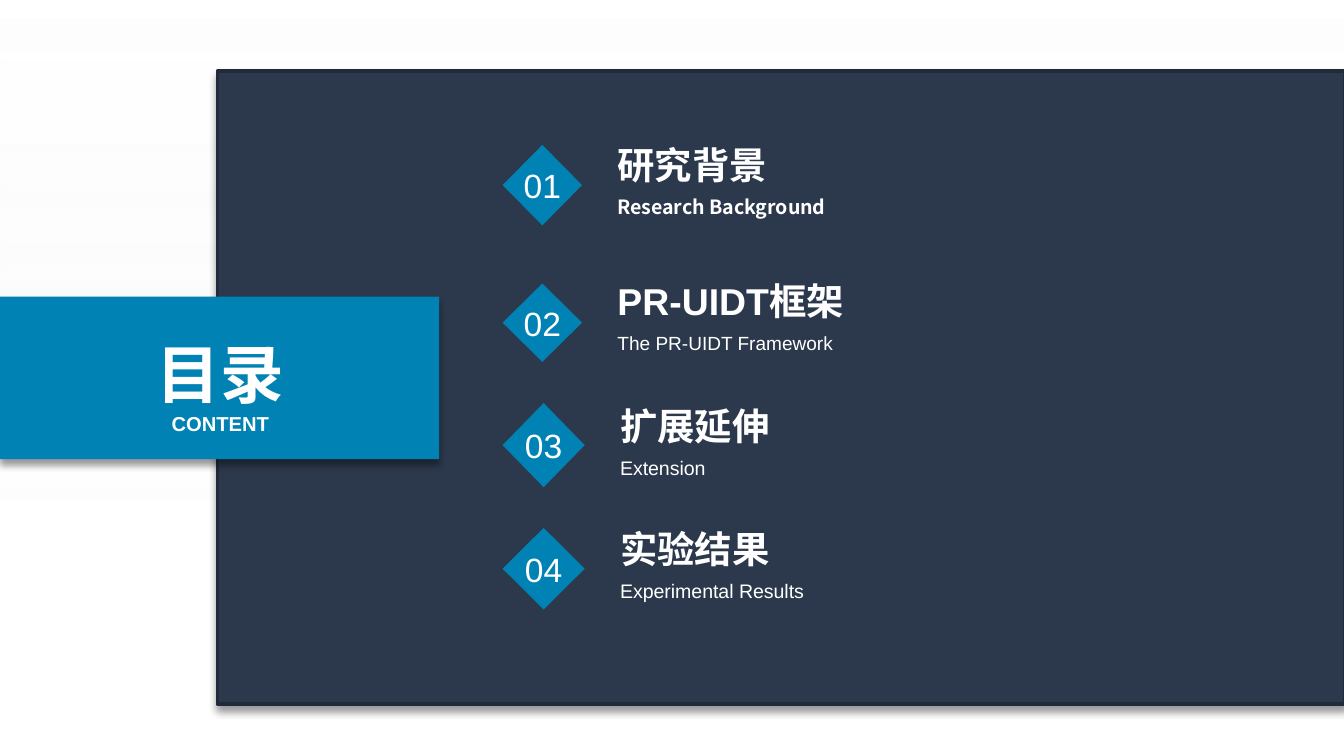
from dataclasses import dataclass

from lxml import etree
from pptx import Presentation
from pptx.dml.color import RGBColor
from pptx.enum.shapes import MSO_SHAPE
from pptx.enum.text import MSO_ANCHOR, PP_ALIGN
from pptx.oxml import parse_xml
from pptx.oxml.ns import qn
from pptx.util import Cm, Pt

RECT, DIAMOND = MSO_SHAPE.RECTANGLE, MSO_SHAPE.DIAMOND
TOP, MIDDLE, BOTTOM = MSO_ANCHOR.TOP, MSO_ANCHOR.MIDDLE, MSO_ANCHOR.BOTTOM
LEFT, CENTER = PP_ALIGN.LEFT, PP_ALIGN.CENTER
DRAWING_NS = "http://schemas.openxmlformats.org/drawingml/2006/main"


@dataclass(frozen=True)
class Theme:
    navy: str = "2C394C"
    navy_edge: str = "212A38"
    blue: str = "0083B4"
    white: str = "FFFFFF"
    latin: str = "Arial"
    chinese: str = "Noto Sans CJK SC"
    heading: float = 34.1
    subheading: float = 10.8
    title: float = 20
    number: float = 18
    caption: float = 10.5
    small_caption: float = 10.2


theme = Theme()


def add_block(parent, kind, box, color, shadow=False):
    block = parent.shapes.add_shape(kind, *map(Cm, box))
    block.shadow.inherit = False
    block.fill.solid()
    block.fill.fore_color.rgb = RGBColor.from_string(color)
    block.line.fill.background()
    if shadow:
        effects = block._element.spPr.find(qn("a:effectLst"))
        effects.append(parse_xml(
            f'<a:outerShdw xmlns:a="{DRAWING_NS}" blurRad="{Pt(4)}" dist="{Pt(3)}" '
            'dir="5400000" algn="t" rotWithShape="0"><a:srgbClr val="000000">'
            '<a:alpha val="40000"/></a:srgbClr></a:outerShdw>'))
    return block


def write(shape, text, size, bold=False, align=LEFT, font=theme.latin, spacing=None, **frame_format):
    frame = shape.text_frame
    for name, value in frame_format.items():
        setattr(frame, name, value)
    paragraph = frame.paragraphs[0]
    paragraph.alignment = align
    paragraph.line_spacing = spacing
    run = paragraph.add_run()
    run.text = text
    for name, value in {"name": font, "size": Pt(size), "bold": bold}.items():
        setattr(run.font, name, value)
    run.font.color.rgb = RGBColor.from_string(theme.white)
    etree.SubElement(run._r.get_or_add_rPr(), qn("a:ea"), typeface=theme.chinese)


prs = Presentation()
prs.slide_width, prs.slide_height = Cm(25.4), Cm(14.29)
slide = prs.slides.add_slide(prs.slide_layouts[6])

# Fading backdrop
backdrop = add_block(slide, RECT, (0, 0, 25.4, 14.29), theme.white)
solid = backdrop._element.spPr.find(qn("a:solidFill"))
solid.getparent().replace(solid, parse_xml(
    f'<a:gradFill xmlns:a="{DRAWING_NS}"><a:gsLst>'
    '<a:gs pos="0"><a:srgbClr val="FFFFFF"><a:alpha val="55000"/></a:srgbClr></a:gs>'
    '<a:gs pos="71000"><a:srgbClr val="F2F2F2"><a:alpha val="0"/></a:srgbClr></a:gs>'
    '</a:gsLst><a:lin ang="5400000" scaled="0"/></a:gradFill>'))

# Dark panel
panel = add_block(slide, RECT, (4.11, 1.35, 21.31, 11.96), theme.navy, shadow=True)
panel.line.color.rgb = RGBColor.from_string(theme.navy_edge)
panel.line.width = Pt(2)

# Agenda: number, diamond top, width, height, text left, title height, title bottom, texts
agenda = [
    ("01", 2.74, 1.5, 1.52, 10.67, 0.51, 3.53, "研究背景", "Research Background",
     {"size": theme.caption, "font": theme.chinese, "bold": True}),
    ("02", 5.36, 1.5, 1.48, 10.67, 1.02, 6.11, "PR-UIDT框架", "The PR-UIDT Framework",
     {"size": theme.small_caption}),
    ("03", 7.62, 1.55, 1.59, 10.72, 0.86, 8.47, "扩展延伸", "Extension",
     {"size": theme.caption}),
    ("04", 9.98, 1.55, 1.54, 10.72, 0.51, 10.8, "实验结果", "Experimental Results",
     {"size": theme.caption}),
]
no_margins = dict.fromkeys(("margin_left", "margin_top", "margin_right", "margin_bottom"), 0)
indented = {**no_margins, "margin_left": Cm(1)}

for number, top, width, height, left, title_height, split, title, caption, style in agenda:
    entry = slide.shapes.add_group_shape()
    badge = add_block(entry, DIAMOND, (9.5, top, width, height), theme.blue)
    write(badge, number, theme.number, align=CENTER,
          vertical_anchor=MIDDLE, word_wrap=False, **no_margins)
    title_box = entry.shapes.add_textbox(Cm(left), Cm(split - title_height), Cm(8.26), Cm(title_height))
    write(title_box, title, theme.title, bold=True,
          vertical_anchor=BOTTOM, word_wrap=False, **indented)
    caption_box = entry.shapes.add_textbox(Cm(left), Cm(split), Cm(8.26), Cm(0.66))
    write(caption_box, caption, spacing=1.2,
          vertical_anchor=MIDDLE, word_wrap=True, **style, **indented)

# Heading banner
banner = slide.shapes.add_group_shape()
add_block(banner, RECT, (0, 5.61, 8.3, 3.07), theme.blue, shadow=True)
for text, top, height, size in [("目录", 6.2, 1.6, theme.heading),
                                ("CONTENT", 7.65, 0.64, theme.subheading)]:
    heading = banner.shapes.add_textbox(Cm(2.69), Cm(top), Cm(2.95), Cm(height))
    write(heading, text, size, bold=True, align=CENTER, vertical_anchor=TOP, word_wrap=True)

prs.save("out.pptx")
